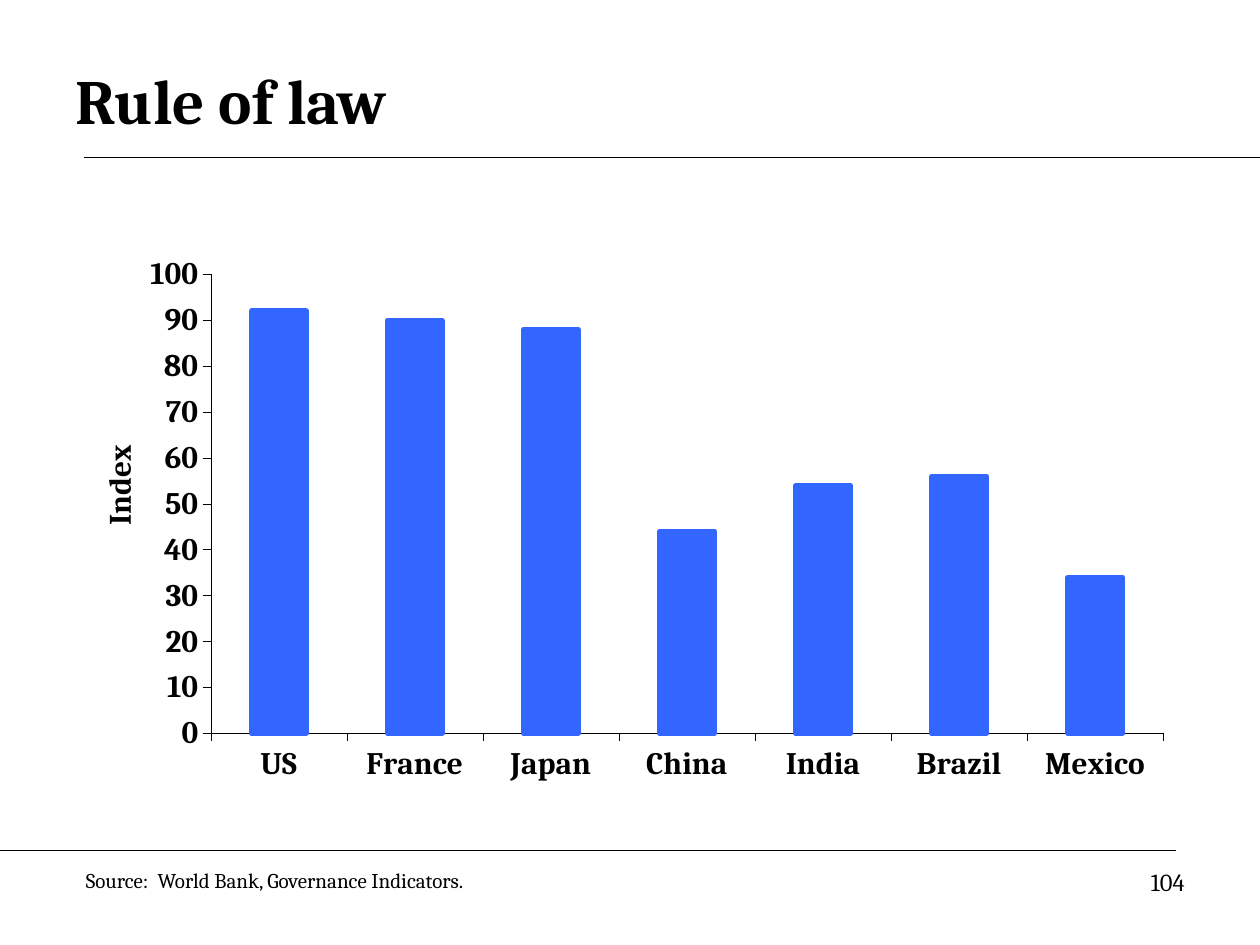
from pptx import Presentation
from pptx.chart.data import CategoryChartData
from pptx.dml.color import RGBColor
from pptx.enum.chart import XL_CHART_TYPE, XL_TICK_MARK
from pptx.enum.shapes import MSO_CONNECTOR
from pptx.enum.text import MSO_ANCHOR, PP_ALIGN
from pptx.oxml import parse_xml
from pptx.oxml.ns import nsdecls, qn
from pptx.util import Pt

COLUMN = XL_CHART_TYPE.COLUMN_CLUSTERED
OUTSIDE, NO_TICK = XL_TICK_MARK.OUTSIDE, XL_TICK_MARK.NONE
STRAIGHT = MSO_CONNECTOR.STRAIGHT
MIDDLE = MSO_ANCHOR.MIDDLE
LEFT, RIGHT = PP_ALIGN.LEFT, PP_ALIGN.RIGHT


def rgb(value):
    """Turn a hex string into a colour."""
    return RGBColor.from_string(value)


def set_layout(parent, index, x, y, w=None, h=None):
    """Place a chart part by fractions of the chart area."""
    old = parent.find(qn("c:layout"))
    if old is not None:
        parent.remove(old)
    parts = ['<c:layoutTarget val="inner"/>'] if w else []
    parts += ['<c:xMode val="edge"/>', '<c:yMode val="edge"/>']
    sizes = {"x": x, "y": y, "w": w, "h": h}
    parts += [f'<c:{k} val="{v}"/>' for k, v in sizes.items() if v is not None]
    parent.insert(index, parse_xml(
        f'<c:layout {nsdecls("c")}><c:manualLayout>{"".join(parts)}'
        "</c:manualLayout></c:layout>"))


class SlideBuilder:
    """Hold the style and the current slide."""

    font, ink, bar = "Cambria", "000000", "3366FF"

    def __init__(self, prs):
        """Add a title-only slide."""
        self.s = prs.slides.add_slide(prs.slide_layouts[5])

    def style(self, font, size, bold=False):
        """Apply the common font."""
        font.name, font.size, font.bold = self.font, Pt(size), bold
        font.color.rgb = rgb(self.ink)

    def add_run(self, tf, text, size, bold=False, align=LEFT):
        """Put one styled run into a text frame."""
        tf.word_wrap = True
        p = tf.paragraphs[0]
        p.alignment = align
        r = p.add_run()
        r.text = text
        self.style(r.font, size, bold)

    def title(self, text, x, y, w, h):
        """Place and fill the title."""
        sp = self.s.shapes.title
        sp.left, sp.top, sp.width, sp.height = Pt(x), Pt(y), Pt(w), Pt(h)
        sp.text_frame.vertical_anchor = MIDDLE
        self.add_run(sp.text_frame, text, 36, True)

    def text(self, text, x, y, w, h, size, align=LEFT):
        """Add a text box."""
        sp = self.s.shapes.add_textbox(Pt(x), Pt(y), Pt(w), Pt(h))
        self.add_run(sp.text_frame, text, size, align=align)

    def rule(self, x1, x2, y):
        """Add a thin horizontal line."""
        sp = self.s.shapes.add_connector(STRAIGHT, Pt(x1), Pt(y), Pt(x2), Pt(y))
        sp.line.color.rgb = rgb(self.ink)
        sp.line.width = Pt(0.75)
        sp._element.spPr.append(parse_xml(f'<a:effectLst {nsdecls("a")}/>'))

    def columns(self, values, axis_title, x, y, w, h, size=17.9):
        """Add a column chart of one series."""
        data = CategoryChartData()
        data.categories = list(values)
        data.add_series("Series 1", list(values.values()))
        chart = self.s.shapes.add_chart(
            COLUMN, Pt(x), Pt(y), Pt(w), Pt(h), data).chart
        chart.has_legend = chart.has_title = False
        self.style(chart.font, size, True)
        for axis in (chart.category_axis, chart.value_axis):
            axis.has_major_gridlines = False
            axis.major_tick_mark, axis.minor_tick_mark = OUTSIDE, NO_TICK
            axis.format.line.color.rgb = rgb(self.ink)
            axis.format.line.width = Pt(0.25)
            self.style(axis.tick_labels.font, size, True)
        axis = chart.value_axis
        axis.minimum_scale, axis.maximum_scale, axis.major_unit = 0, 100, 10
        self.add_run(axis.axis_title.text_frame, axis_title, size, True)
        body = axis.axis_title.text_frame._txBody.bodyPr
        body.set("rot", "-5400000")
        body.set("vert", "horz")
        set_layout(axis.axis_title._element, 1, 0.02, 0.35)
        set_layout(chart._chartSpace.chart.plotArea, 0,
                   0.127, 0.077, 0.863, 0.762)
        plot = chart.plots[0]
        plot.gap_width, plot.vary_by_categories = 150, False
        fmt = plot.series[0].format
        fmt.fill.solid()
        fmt.fill.fore_color.rgb = rgb(self.bar)
        fmt.line.color.rgb = rgb(self.bar)
        fmt.line.width = Pt(3)


def main():
    """Build the slide and save it."""
    prs = Presentation()
    prs.slide_width, prs.slide_height = Pt(720), Pt(540)
    b = SlideBuilder(prs)
    b.rule(48, 720, 90)
    b.rule(0, 672, 486)
    b.title("Rule of law", 36, 24, 648, 66)
    index = {"US": 92, "France": 90, "Japan": 88, "China": 44,
             "India": 54, "Brazil": 56, "Mexico": 34}
    b.columns(index, "Index", 40.3, 130.3, 630.7, 344.2)
    b.text("Source:  World Bank, Governance Indicators.", 42, 492, 348, 21.6, 12)
    b.text("104", 516, 492, 168, 37.4, 14, RIGHT)
    prs.save("out.pptx")


if __name__ == "__main__":
    main()
